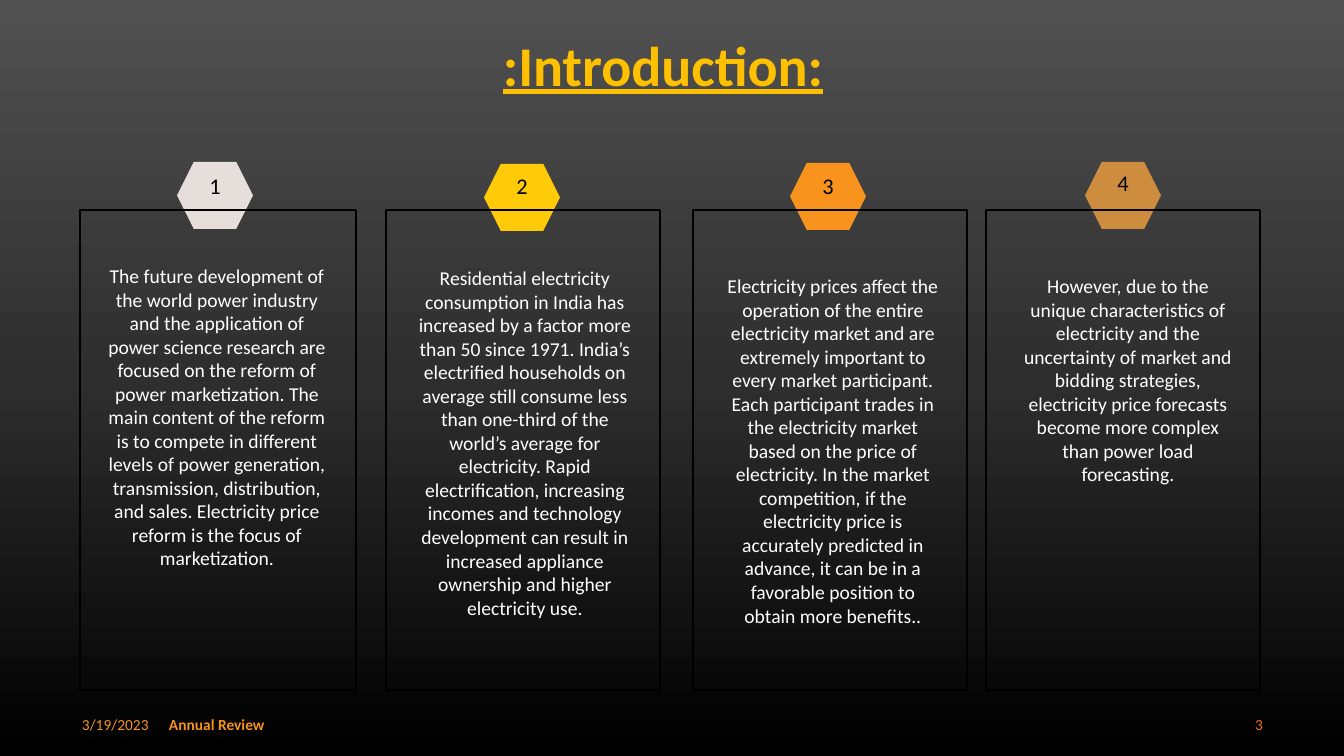
import copy

import pptx
import pptx.dml.color
import pptx.enum.shapes
import pptx.enum.text
import pptx.util

RGBColor = pptx.dml.color.RGBColor
ALIGN = pptx.enum.text.PP_ALIGN
ANCHOR = pptx.enum.text.MSO_ANCHOR
SHAPE = pptx.enum.shapes.MSO_SHAPE

SLIDE_WIDTH, SLIDE_HEIGHT = 1344, 756
EMU_PER_PX = 12192000 / SLIDE_WIDTH
FONT = "Calibri"

BLACK = RGBColor(0x00, 0x00, 0x00)
WHITE = RGBColor(0xFF, 0xFF, 0xFF)
GOLD = RGBColor(0xFF, 0xC0, 0x00)
ORANGE = RGBColor(0xF8, 0x93, 0x1D)
DARK_ORANGE = RGBColor(0xEC, 0x70, 0x16)
PALE_GREY = RGBColor(0xE5, 0xDE, 0xDB)
YELLOW = RGBColor(0xFF, 0xCA, 0x08)
BRONZE = RGBColor(0xCE, 0x8D, 0x3E)
BACKGROUND_STOPS = [
    (0, RGBColor(0x51, 0x51, 0x51)),
    (0.5, RGBColor(0x2E, 0x2E, 0x2E)),
    (1, BLACK),
]

CARD_TOP, CARD_HEIGHT = 210, 480
HEXAGON_WIDTH, HEXAGON_HEIGHT = 76, 67
NUMBER_WIDTH, NUMBER_HEIGHT = 84, 37
TEXT_WIDTH = 230

CARDS = [
    dict(box=(80, CARD_TOP, 276, CARD_HEIGHT), color=PALE_GREY, number="1",
         hexagon=(97, -48), number_top=-43, text=(17, 49), paragraphs=[
             "The future development of the world power industry and the application of "
             "power science research are focused on the reform of power marketization. "
             "The main content of the reform is to compete in different",
             "levels of power generation, transmission, distribution, and sales. "
             "Electricity price reform is the focus of marketization."]),
    dict(box=(386, CARD_TOP, 274, CARD_HEIGHT), color=YELLOW, number="2",
         hexagon=(98, -46), number_top=-43, text=(19, 51), paragraphs=[
             "Residential electricity consumption in India has increased by a factor more "
             "than 50 since 1971. India’s electrified households on average still consume "
             "less than one-third of the world’s average for electricity. Rapid "
             "electrification, increasing incomes and technology development can result in "
             "increased appliance ownership and higher electricity use."]),
    dict(box=(693, CARD_TOP, 274, CARD_HEIGHT), color=ORANGE, number="3",
         hexagon=(97, -47), number_top=-43, text=(20, 59), paragraphs=[
             "Electricity prices affect the operation of the entire electricity market and "
             "are extremely important to every market participant. Each participant trades "
             "in the electricity market based on the price of electricity. In the market "
             "competition, if the electricity price is accurately predicted in advance, it "
             "can be in a favorable position to obtain more benefits.."]),
    dict(box=(986, CARD_TOP, 274, CARD_HEIGHT), color=BRONZE, number="4",
         hexagon=(99, -48), number_top=-46, text=(22, 59), paragraphs=[
             "However, due to the unique characteristics of electricity and the uncertainty "
             "of market and bidding strategies, electricity price forecasts become more "
             "complex than power load forecasting."]),
]


def px(*lengths):
    """Turn pixel lengths into a list of EMU lengths."""
    return [pptx.util.Emu(round(length * EMU_PER_PX)) for length in lengths]


def write_text(shape, paragraphs, size=14, color=WHITE, bold=False, underline=False,
               align=ALIGN.CENTER, anchor=ANCHOR.TOP, line_spacing=None, right_inset=10):
    """Fill the shape with formatted paragraphs."""
    frame = shape.text_frame
    frame.word_wrap = True
    frame.auto_size = pptx.enum.text.MSO_AUTO_SIZE.NONE
    frame.vertical_anchor = anchor
    frame.margin_left, frame.margin_right = px(10, right_inset)
    frame.margin_top, frame.margin_bottom = px(5, 5)
    frame.text = "\n".join(paragraphs)
    for paragraph in frame.paragraphs:
        paragraph.alignment = align
        paragraph.line_spacing = line_spacing
        font = paragraph.runs[0].font
        font.name = FONT
        font.size = pptx.util.Pt(size)
        font.bold = bold
        font.underline = underline
        font.color.rgb = color


def add_text(slide, box, paragraphs, **text_format):
    """Add a text box at the given pixel box."""
    write_text(slide.shapes.add_textbox(*px(*box)), paragraphs, **text_format)


def add_shape(slide, kind, box, fill=None, line=None):
    """Add a flat preset shape with an optional fill and outline."""
    shape = slide.shapes.add_shape(kind, *px(*box))
    shape.shadow.inherit = False
    if fill is None:
        shape.fill.background()
    else:
        shape.fill.solid()
        shape.fill.fore_color.rgb = fill
    if line is None:
        shape.line.fill.background()
    else:
        shape.line.color.rgb = line
        shape.line.width = pptx.util.Pt(1)


def paint_background(slide):
    """Paint the vertical three-stop gradient."""
    fill = slide.background.fill
    fill.gradient()
    fill.gradient_angle = 270
    stop_list = fill.gradient_stops[0]._gs.getparent()
    stop_list.append(copy.deepcopy(stop_list[-1]))
    for stop, (position, color) in zip(fill.gradient_stops, BACKGROUND_STOPS):
        stop.position = position
        stop.color.rgb = color


def add_title(slide, box):
    """Place and format the title placeholder."""
    title = slide.shapes.title
    title.left, title.top, title.width, title.height = px(*box)
    write_text(title, [":Introduction:"], size=40, color=GOLD, bold=True,
               underline=True, anchor=ANCHOR.MIDDLE, line_spacing=0.9)


def add_card(slide, box, color, number, hexagon, number_top, text, paragraphs):
    """Draw one outlined card with its numbered hexagon and text."""
    left, top, _, height = box
    hexagon_left = left + hexagon[0]
    add_shape(slide, SHAPE.HEXAGON,
              (hexagon_left, top + hexagon[1], HEXAGON_WIDTH, HEXAGON_HEIGHT), fill=color)
    add_shape(slide, SHAPE.RECTANGLE, box, line=BLACK)
    number_left = hexagon_left + (HEXAGON_WIDTH - NUMBER_WIDTH) // 2
    add_text(slide, (number_left, top + number_top, NUMBER_WIDTH, NUMBER_HEIGHT),
             [number], size=16, color=BLACK)
    add_text(slide, (left + text[0], top + text[1], TEXT_WIDTH, height - 2 * text[1]),
             paragraphs, right_inset=0)


def add_footer(slide, box):
    """Place date, footer text and slide number along the footer strip."""
    left, top, width, height = box
    number_width = 302
    add_text(slide, (left, top, 87, height), ["3/19/2023"], size=11, color=ORANGE,
             align=ALIGN.LEFT, anchor=ANCHOR.MIDDLE)
    add_text(slide, (left + 87, top, 454, height), ["Annual Review"], size=11,
             color=ORANGE, bold=True, align=ALIGN.LEFT, anchor=ANCHOR.MIDDLE)
    add_text(slide, (left + width - number_width, top, number_width, height), ["3"],
             size=11, color=DARK_ORANGE, align=ALIGN.RIGHT, anchor=ANCHOR.MIDDLE)


def main():
    """Build and save the introduction slide."""
    presentation = pptx.Presentation()
    presentation.slide_width, presentation.slide_height = px(SLIDE_WIDTH, SLIDE_HEIGHT)
    slide = presentation.slides.add_slide(presentation.slide_layouts.get_by_name("Title Only"))
    paint_background(slide)
    add_title(slide, (38, 29, 1250, 78))
    for card in CARDS:
        add_card(slide, **card)
    add_footer(slide, (72, 704, 1201, 40))
    presentation.save("out.pptx")


if __name__ == "__main__":
    main()
